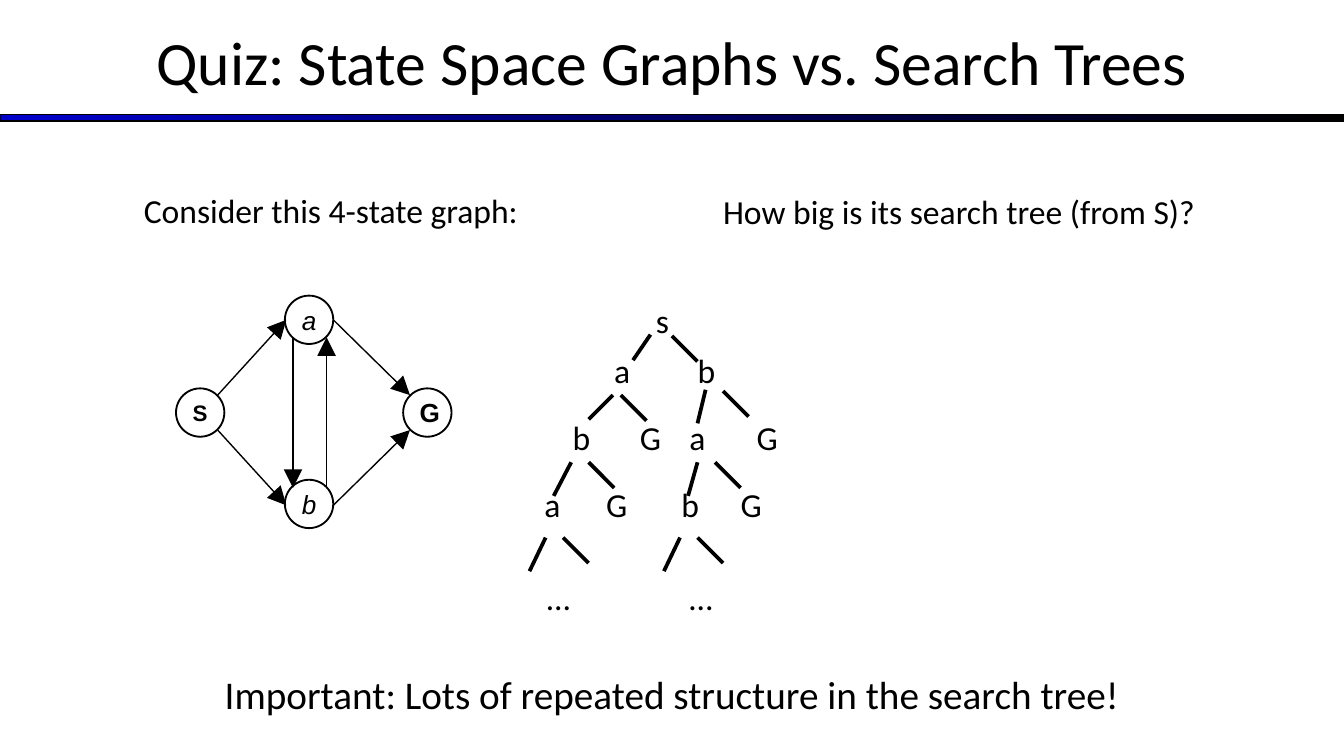
from typing import NamedTuple

from lxml import etree
from pptx import Presentation
from pptx import util as u
from pptx.dml.color import RGBColor
from pptx.enum import shapes, text
from pptx.oxml.ns import qn

BLACK = "000000"
LEFT, CENTER = text.PP_ALIGN.LEFT, text.PP_ALIGN.CENTER
TOP, MIDDLE = text.MSO_ANCHOR.TOP, text.MSO_ANCHOR.MIDDLE
LABEL_WIDTHS = {"s": 0.25, "a": 0.27, "b": 0.28, "G": 0.31, "…": 0.33}
NODE_SIZE = 0.36


class Style(NamedTuple):
    size: float = 18
    font: str = "Calibri"
    bold: bool = False
    italic: bool = False


class Caption(NamedTuple):
    wording: str
    left: float
    top: float
    width: float
    height: float
    size: float = 18
    align: text.PP_ALIGN = LEFT
    anchor: text.MSO_ANCHOR = TOP


class State(NamedTuple):
    name: str
    left: float
    top: float
    style: Style


class Edge(NamedTuple):
    x1: float
    y1: float
    x2: float
    y2: float


class TreeRow(NamedTuple):
    top: float
    labels: list[tuple[str, float]]


def color(hex_code: str) -> RGBColor:
    return RGBColor.from_string(hex_code)


def write(shape, wording: str, style: Style, align=LEFT, anchor=TOP, wrap=True) -> None:
    frame = shape.text_frame
    frame.word_wrap = wrap
    frame.vertical_anchor = anchor
    frame.margin_left = frame.margin_right = u.Inches(0.07)
    frame.margin_top = frame.margin_bottom = u.Inches(0.04)
    paragraph = frame.paragraphs[0]
    paragraph.alignment = align
    run = paragraph.add_run()
    run.text = wording
    run.font.size = u.Pt(style.size)
    run.font.name = style.font
    run.font.bold = style.bold
    run.font.italic = style.italic
    run.font.color.rgb = color(BLACK)


def draw_caption(slide, caption: Caption, wrap: bool = True) -> None:
    box = slide.shapes.add_textbox(u.Inches(caption.left), u.Inches(caption.top),
                                   u.Inches(caption.width), u.Inches(caption.height))
    write(box, caption.wording, Style(caption.size), caption.align, caption.anchor, wrap)


def draw_state(slide, state: State) -> None:
    node = slide.shapes.add_shape(shapes.MSO_SHAPE.FLOWCHART_CONNECTOR,
                                  u.Inches(state.left), u.Inches(state.top),
                                  u.Inches(NODE_SIZE), u.Inches(NODE_SIZE))
    node.shadow.inherit = False
    node.fill.background()
    node.line.color.rgb = color(BLACK)
    node.line.width = u.Pt(1)
    write(node, state.name, state.style, CENTER, MIDDLE)


def draw_edge(slide, edge: Edge, width: float, arrow: bool = False) -> None:
    line = slide.shapes.add_connector(shapes.MSO_CONNECTOR.STRAIGHT,
                                      u.Inches(edge.x1), u.Inches(edge.y1),
                                      u.Inches(edge.x2), u.Inches(edge.y2))
    line.line.color.rgb = color(BLACK)
    line.line.width = u.Pt(width)
    if arrow:
        etree.SubElement(line.line._get_or_add_ln(), qn("a:tailEnd"),
                         type="triangle", w="lg", len="lg")
    etree.SubElement(line._element.spPr, qn("a:effectLst"))


def draw_title_rule(slide) -> None:
    rule = slide.shapes.add_shape(shapes.MSO_SHAPE.RECTANGLE, 0, u.Inches(0.85),
                                  u.Inches(10), u.Inches(0.05))
    rule.shadow.inherit = False
    rule.fill.gradient()
    rule.fill.gradient_angle = 0
    for stop, position, shade in zip(rule.fill.gradient_stops, (0, 1), ("0000CC", BLACK)):
        stop.position = position
        stop.color.rgb = color(shade)
    rule.line.color.rgb = color(BLACK)
    rule.line.width = u.Pt(0.75)


CAPTIONS = [
    Caption("Quiz: State Space Graphs vs. Search Trees", 0, -0.02, 10, 0.94, 33, CENTER, MIDDLE),
    Caption("Consider this 4-state graph:", 1, 1.37, 3.19, 0.38),
    Caption("How big is its search tree (from S)?", 5.31, 1.38, 4.19, 0.38),
    Caption("Important: Lots of repeated structure in the search tree!",
            0, 4.95, 10, 0.43, 21, CENTER),
]

INNER_STATE = Style(14, "Arial", italic=True)
STATES = [
    State("S", 1.31, 2.89, Style(12, "Arial", bold=True)),
    State("G", 3, 2.89, Style(14, "Arial", bold=True)),
    State("b", 2.12, 3.57, INNER_STATE),
    State("a", 2.12, 2.2, INNER_STATE),
]
TRANSITIONS = [
    Edge(1.62, 3.2, 2.13, 3.76),   # S to b
    Edge(2.18, 2.51, 2.18, 3.63),  # a to b
    Edge(2.43, 3.63, 2.43, 2.51),  # b to a
    Edge(2.48, 2.38, 3.05, 2.94),  # a to G
    Edge(2.48, 3.76, 3.05, 3.2),   # b to G
    Edge(1.62, 2.94, 2.13, 2.38),  # S to a
]

TREE_ROWS = [
    TreeRow(2.19, [("s", 4.81)]),
    TreeRow(2.56, [("a", 4.5), ("b", 5.12)]),
    TreeRow(3.06, [("b", 4.19), ("G", 4.69), ("a", 5.06), ("G", 5.56)]),
    TreeRow(3.56, [("a", 3.98), ("G", 4.44), ("b", 5), ("G", 5.44)]),
    TreeRow(4.25, [("…", 4), ("…", 5.06)]),
]
# Right branches all fall by the same step; left branches vary in slope
BRANCH_STEP = 0.19
RIGHT_BRANCH_STARTS = [(5, 2.5), (4.62, 2.94), (5.38, 2.91), (4.38, 3.44),
                       (5.32, 3.44), (4.19, 4), (5.19, 4)]
LEFT_BRANCHES = [
    Edge(4.84, 2.49, 4.71, 2.68),
    Edge(4.56, 2.94, 4.38, 3.12),
    Edge(5.25, 2.9, 5.19, 3.15),
    Edge(4.25, 3.44, 4.12, 3.69),
    Edge(5.19, 3.44, 5.12, 3.69),
    Edge(4.06, 4, 3.94, 4.25),
    Edge(5.06, 4, 4.94, 4.25),
]


def main() -> None:
    deck = Presentation()
    deck.slide_width = u.Inches(10)
    deck.slide_height = u.Inches(10 * 9 / 16)
    slide = deck.slides.add_slide(deck.slide_layouts[6])

    # Title, rule and captions
    draw_title_rule(slide)
    for caption in CAPTIONS:
        draw_caption(slide, caption)

    # State graph
    for state in STATES:
        draw_state(slide, state)
    for transition in TRANSITIONS:
        draw_edge(slide, transition, 0.75, arrow=True)

    # Search tree
    for row in TREE_ROWS:
        for label, left in row.labels:
            draw_caption(slide, Caption(label, left, row.top, LABEL_WIDTHS[label], 0.38),
                         wrap=False)
    right_branches = [Edge(x, y, x + BRANCH_STEP, y + BRANCH_STEP)
                      for x, y in RIGHT_BRANCH_STARTS]
    for branch in LEFT_BRANCHES + right_branches:
        draw_edge(slide, branch, 2)

    deck.save("out.pptx")


if __name__ == "__main__":
    main()
